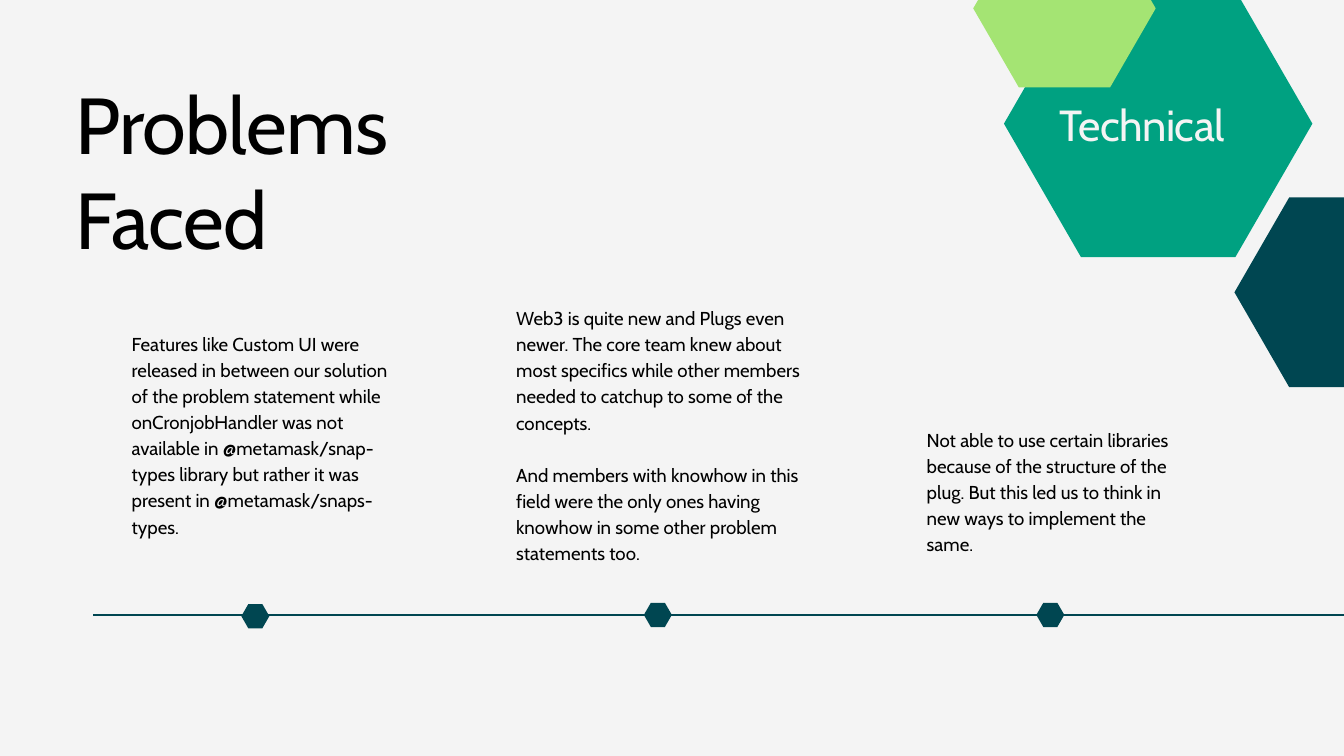
from lxml import etree
from pptx import Presentation
from pptx.dml.color import RGBColor
from pptx.enum.shapes import MSO_CONNECTOR
from pptx.enum.text import MSO_AUTO_SIZE
from pptx.oxml.ns import qn
from pptx.util import Pt

STRAIGHT = MSO_CONNECTOR.STRAIGHT
GROW = MSO_AUTO_SIZE.SHAPE_TO_FIT_TEXT
FONT = "Cabin"
DARK, GREEN, LIME = "004651", "00A181", "A4E473"
BLACK, PALE = "000000", "F4F4F4"
RATIO = 0.866  # height to width of a regular hexagon


def color(code):
    return RGBColor.from_string(code)


def add_text(box, paras, size, lead, ink=BLACK, track=0):
    left, top, width, height = box
    frame = slide.shapes.add_textbox(
        Pt(left), Pt(top), Pt(width), Pt(height)).text_frame
    frame.word_wrap = True
    frame.auto_size = GROW
    frame.margin_left = frame.margin_right = 0
    frame.margin_top = frame.margin_bottom = 0
    for i, words in enumerate(paras):
        para = frame.add_paragraph() if i else frame.paragraphs[0]
        para.line_spacing = Pt(lead)
        if i:
            para.space_before = Pt(lead)
        run = para.add_run()
        run.text = words
        run.font.name = FONT
        run.font.size = Pt(size)
        run.font.color.rgb = color(ink)
        if track:
            run._r.get_or_add_rPr().set("spc", str(track))


deck = Presentation()
deck.slide_width, deck.slide_height = Pt(1440), Pt(810)
slide = deck.slides.add_slide(deck.slide_layouts[6])
slide.background.fill.solid()
slide.background.fill.fore_color.rgb = color(PALE)

# Timeline
line = slide.shapes.add_connector(
    STRAIGHT, Pt(100), Pt(658.8), Pt(1440), Pt(658.8))
line.line.color.rgb = color(DARK)
line.line.width = Pt(1.5)
etree.SubElement(line._element.spPr, qn("a:effectLst"))

# Problems above the timeline
notes = [
    ((141.1, 352.1, 291.6, 248.4), [
        "Features like Custom UI were released in between our solution of "
        "the problem statement while onCronjobHandler was not available in "
        "@metamask/snap-types library but rather it was present in "
        "@metamask/snaps-types."]),
    ((553, 324.7, 321.8, 276.5), [
        "Web3 is quite new and Plugs even newer. The core team knew about "
        "most specifics while other members needed to catchup to some of "
        "the concepts.",
        "And members with knowhow in this field were the only ones having "
        "knowhow in some other problem statements too."]),
    ((992.9, 455, 265, 138.2), [
        "Not able to use certain libraries because of the structure of the "
        "plug. But this led us to think in new ways to implement the same."]),
]
for box, paras in notes:
    add_text(box, paras, 20, 28)

# Title
add_text((80.6, 80.6, 448.6, 202.3), ["Problems Faced"], 85, 102, track=-80)

# Hexagons: centre x, centre y, width, fill
hexes = [
    # timeline markers
    (273.6, 660.2, 30, DARK),
    (704.9, 658.8, 30, DARK),
    (1125.4, 658.8, 30, DARK),
    # corner cluster
    (1440, 313.2, 234.7, DARK),
    (1240.9, 132.5, 330.5, GREEN),
    (1140.5, 9, 195.5, LIME),
]
for x, y, width, fill in hexes:
    side, rise = width / 4, width * RATIO / 2
    path = slide.shapes.build_freeform(Pt(x + width / 2), Pt(y))
    path.add_line_segments([
        (Pt(x + side), Pt(y + rise)), (Pt(x - side), Pt(y + rise)),
        (Pt(x - width / 2), Pt(y)),
        (Pt(x - side), Pt(y - rise)), (Pt(x + side), Pt(y - rise))])
    shape = path.convert_to_shape()
    shape.shadow.inherit = False
    shape.fill.solid()
    shape.fill.fore_color.rgb = color(fill)
    shape.line.fill.background()

# Category label
add_text((1134.7, 105.1, 246.2, 55.4), ["Technical"], 46.6, 55.9, PALE, -50)

deck.save("out.pptx")
